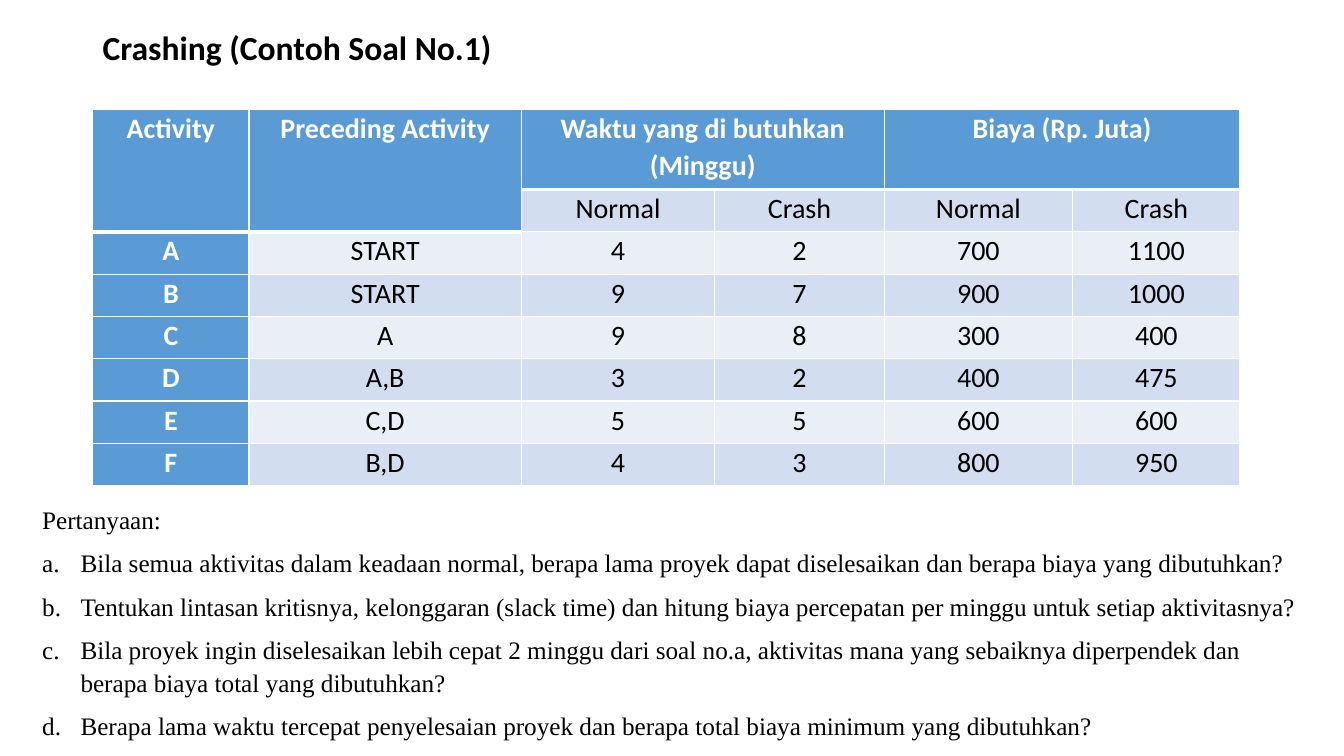
from lxml.etree import SubElement
from pptx import Presentation
from pptx.dml.color import RGBColor
from pptx.enum.text import MSO_ANCHOR, MSO_AUTO_SIZE, PP_ALIGN
from pptx.oxml.ns import qn
from pptx.util import Inches, Pt

COLORS = {"white": "FFFFFF", "black": "000000", "accent": "5B9BD5",
          "band_dark": "D2DEEF", "band_light": "EAEFF7"}

TITLE = "Crashing (Contoh Soal No.1)"
COLUMN_WIDTHS = [1.55, 2.7, 1.92, 1.68, 1.87, 1.66]
ROW_HEIGHTS = [0.79] + [0.42] * 7
ACTIVITIES = [
    ["Activity", "Preceding Activity", "Waktu yang di butuhkan (Minggu)", "",
     "Biaya (Rp. Juta)", ""],
    ["", "", "Normal", "Crash", "Normal", "Crash"],
    ["A", "START", "4", "2", "700", "1100"],
    ["B", "START", "9", "7", "900", "1000"],
    ["C", "A", "9", "8", "300", "400"],
    ["D", "A,B", "3", "2", "400", "475"],
    ["E", "C,D", "5", "5", "600", "600"],
    ["F", "B,D", "4", "3", "800", "950"],
]
MERGES = [((0, 0), (1, 0)), ((0, 1), (1, 1)), ((0, 2), (0, 3)), ((0, 4), (0, 5))]
QUESTIONS = [
    "Bila semua aktivitas dalam keadaan normal, berapa lama proyek dapat diselesaikan "
    "dan berapa biaya yang dibutuhkan?",
    "Tentukan lintasan kritisnya, kelonggaran (slack time) dan hitung biaya percepatan "
    "per minggu untuk setiap aktivitasnya?",
    "Bila proyek ingin diselesaikan lebih cepat 2 minggu dari soal no.a, aktivitas mana "
    "yang sebaiknya diperpendek dan berapa biaya total yang dibutuhkan?",
    "Berapa lama waktu tercepat penyelesaian proyek dan berapa total biaya minimum "
    "yang dibutuhkan?",
]


def apply(target, values):
    for name, value in values.items():
        setattr(target, name, value)


def is_header(row, column):
    return row == 0 or (row == 1 and column < 2)


class SlideBuilder:
    """Holds the text styles and the current slide."""

    title_font = {"name": "Calibri", "size": Pt(24), "bold": True}
    table_font = {"name": "Calibri", "size": Pt(20)}
    question_font = {"name": "Times New Roman", "size": Pt(18)}
    title_spacing = {"line_spacing": 0.9, "space_after": Pt(6)}
    cell_spacing = {"line_spacing": 1.07, "alignment": PP_ALIGN.CENTER}
    question_spacing = {"line_spacing": 1.07, "space_after": Pt(8)}
    cell_format = {"margin_left": Inches(0.13), "margin_right": Inches(0.13),
                   "margin_top": 0, "margin_bottom": 0}

    def __init__(self, slide):
        self.slide = slide

    def fill_paragraph(self, paragraph, text, spacing, font, color="black"):
        apply(paragraph, spacing)
        run = paragraph.add_run()
        run.text = text
        apply(run.font, font)
        run.font.color.rgb = RGBColor.from_string(COLORS[color])

    def text_frame(self, left, top, width, height, frame_format):
        frame = self.slide.shapes.add_textbox(
            Inches(left), Inches(top), Inches(width), Inches(height)).text_frame
        apply(frame, {"word_wrap": True, **frame_format})
        return frame

    def title(self, text):
        frame = self.text_frame(0.92, 0.2, 11.5, 0.58,
                                {"vertical_anchor": MSO_ANCHOR.MIDDLE})
        self.fill_paragraph(frame.paragraphs[0], text, self.title_spacing,
                            self.title_font)

    def borders(self, cell, widths):
        properties = cell._tc.get_or_add_tcPr()
        for side, width in widths.items():
            line = SubElement(properties, qn(f"a:ln{side}"), w=str(Pt(width)))
            fill = SubElement(line, qn("a:solidFill"))
            SubElement(fill, qn("a:srgbClr"), val=COLORS["white"])

    def cell(self, cell, text, row, column):
        header = is_header(row, column)
        emphasis = header or column == 0
        below_header = not header and is_header(row - 1, column)
        band = "band_dark" if row % 2 else "band_light"
        apply(cell, self.cell_format)
        self.borders(cell, {"L": 1, "R": 1, "T": 3 if below_header else 1,
                            "B": 3 if header else 1})
        cell.fill.solid()
        cell.fill.fore_color.rgb = RGBColor.from_string(
            COLORS["accent" if emphasis else band])
        if text:
            self.fill_paragraph(cell.text_frame.paragraphs[0], text, self.cell_spacing,
                                {**self.table_font, "bold": emphasis},
                                "white" if emphasis else "black")

    def table(self, rows):
        table = self.slide.shapes.add_table(
            len(rows), len(COLUMN_WIDTHS), Inches(0.92), Inches(1.09),
            Inches(sum(COLUMN_WIDTHS)), Inches(sum(ROW_HEIGHTS))).table
        for column, width in zip(table.columns, COLUMN_WIDTHS):
            column.width = Inches(width)
        for row, height in zip(table.rows, ROW_HEIGHTS):
            row.height = Inches(height)
        for first, last in MERGES:
            table.cell(*first).merge(table.cell(*last))
        for row, texts in enumerate(rows):
            for column, text in enumerate(texts):
                self.cell(table.cell(row, column), text, row, column)

    def questions(self, heading, items):
        frame = self.text_frame(0.32, 4.93, 12.69, 2.48,
                                {"auto_size": MSO_AUTO_SIZE.SHAPE_TO_FIT_TEXT})
        self.fill_paragraph(frame.paragraphs[0], heading, self.question_spacing,
                            self.question_font)
        for item in items:
            paragraph = frame.add_paragraph()
            properties = paragraph._p.get_or_add_pPr()
            properties.set("marL", str(Inches(0.38)))
            properties.set("indent", str(Inches(-0.38)))
            SubElement(properties, qn("a:buFont"), typeface="+mj-lt")
            SubElement(properties, qn("a:buAutoNum"), type="alphaLcPeriod")
            self.fill_paragraph(paragraph, item, self.question_spacing,
                                self.question_font)


def main():
    presentation = Presentation()
    apply(presentation, {"slide_width": Inches(13.33), "slide_height": Inches(7.5)})
    builder = SlideBuilder(presentation.slides.add_slide(presentation.slide_layouts[6]))
    builder.title(TITLE)
    builder.table(ACTIVITIES)
    builder.questions("Pertanyaan:", QUESTIONS)
    presentation.save("out.pptx")


if __name__ == "__main__":
    main()
